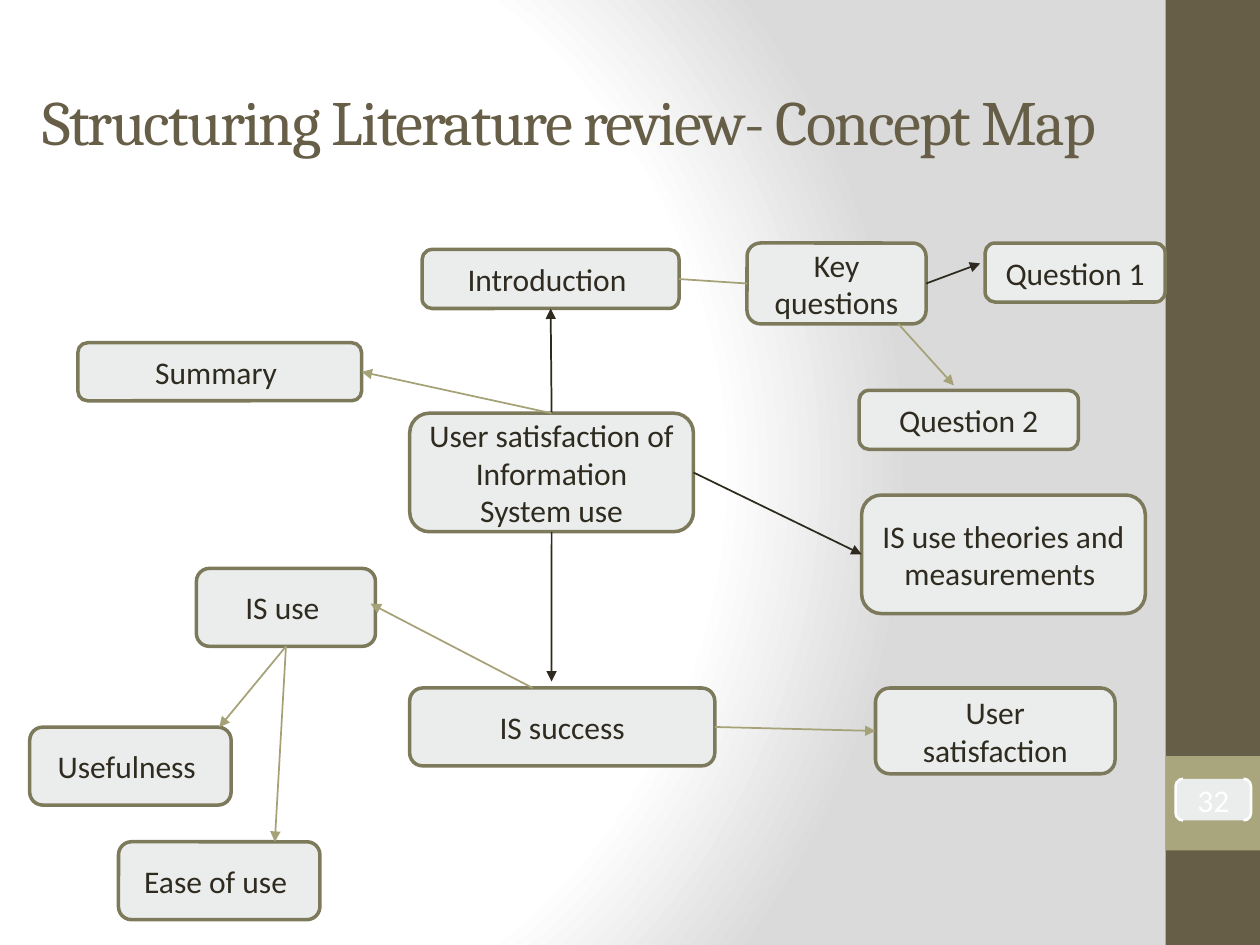
from dataclasses import dataclass
from lxml.etree import SubElement
from pptx import Presentation
from pptx.dml.color import RGBColor
from pptx.enum.shapes import MSO_CONNECTOR, MSO_SHAPE
from pptx.enum.text import MSO_ANCHOR, MSO_AUTO_SIZE, PP_ALIGN
from pptx.oxml.ns import qn
from pptx.util import Cm, Pt


@dataclass(frozen=True)
class Theme:
    heading: str = "Cambria"
    body: str = "Calibri"
    title_size: int = 36
    text_size: int = 18
    brown: str = "675E47"
    olive: str = "A9A57C"
    node_fill: str = "EAEDEB"
    node_line: str = "7D7A5C"
    ink: str = "2F2B20"
    dark: str = "2E2A1F"
    light: str = "A6A278"
    white: str = "FFFFFF"
    grey: str = "DADADA"


T = Theme()
TOP, LEFT, BOTTOM, RIGHT = range(4)

# Node: label, left, top, width, height in cm from the map's corner
NODES = {
    "topic": ("User satisfaction of Information System use", 7.66, 3.43, 5.72, 2.39),
    "summary": ("Summary ", 0.97, 2.01, 5.72, 1.17),
    "intro": ("Introduction ", 7.91, 0.13, 5.18, 1.19),
    "success": ("IS success", 7.66, 8.97, 6.15, 1.57),
    "theories": ("IS use theories and measurements ", 16.77, 5.08, 5.72, 2.39),
    "key": ("Key questions", 14.46, 0, 3.61, 1.63),
    "q1": ("Question 1", 19.26, 0, 3.63, 1.19),
    "q2": ("Question 2", 16.72, 2.97, 4.42, 1.19),
    "use": ("IS use ", 3.36, 6.56, 3.61, 1.57),
    "satisfaction": ("User satisfaction", 17.05, 8.97, 4.83, 1.73),
    "usefulness": ("Usefulness ", 0, 9.76, 4.06, 1.57),
    "ease": ("Ease of use ", 1.79, 12.07, 4.06, 1.57),
}

# Link: start, end, colour, arrowhead; an end is (node, side) or a free (x, y)
LINKS = [
    (("topic", TOP), ("intro", BOTTOM), T.dark, True),
    (("topic", TOP), ("summary", RIGHT), T.light, True),
    (("intro", RIGHT), ("key", LEFT), T.light, False),
    (("key", RIGHT), (19.16, 0.41), T.dark, True),
    ((17.51, 1.63), (18.63, 2.87), T.light, True),
    (("topic", BOTTOM), (10.52, 8.84), T.dark, True),
    (("topic", RIGHT), ("theories", LEFT), T.dark, True),
    ((10.14, 8.97), (6.87, 7.27), T.light, True),
    (("success", RIGHT), ("satisfaction", LEFT), T.light, True),
    (("use", BOTTOM), (3.82, 9.76), T.light, True),
    (("use", BOTTOM), (4.94, 12.07), T.light, True),
]


def rgb(value):
    return RGBColor.from_string(value)


def add_box(s, kind, box, fill, line=None, width=0):
    sp = s.shapes.add_shape(kind, *map(Cm, box))
    sp.shadow.inherit = False
    sp.fill.solid()
    sp.fill.fore_color.rgb = rgb(fill)
    if line:
        sp.line.color.rgb = rgb(line)
        sp.line.width = Pt(width)
    else:
        sp.line.fill.background()
    return sp


def write(sp, text, font, size, color, align=PP_ALIGN.CENTER):
    tf = sp.text_frame
    frame = {"word_wrap": True, "auto_size": MSO_AUTO_SIZE.NONE,
             "vertical_anchor": MSO_ANCHOR.MIDDLE}
    for name, value in frame.items():
        setattr(tf, name, value)
    p = tf.paragraphs[0]
    p.alignment = align
    r = p.add_run()
    r.text = text
    for name, value in {"name": font, "size": Pt(size)}.items():
        setattr(r.font, name, value)
    r.font.color.rgb = rgb(color)
    return r


def add_background(s):
    """Radial gradient, white on the left and grey on the right."""
    s.background.fill.solid()
    bg = s._element.find(".//" + qn("p:bgPr"))
    bg.remove(bg[0])
    grad = SubElement(bg, qn("a:gradFill"), rotWithShape="1")
    bg.insert(0, grad)
    stops = SubElement(grad, qn("a:gsLst"))
    for pos, color in ((0, T.white), (75, T.white), (100, T.grey)):
        stop = SubElement(stops, qn("a:gs"), pos=str(pos * 1000))
        SubElement(stop, qn("a:srgbClr"), val=color)
    circle = SubElement(grad, qn("a:path"), path="circle")
    SubElement(circle, qn("a:fillToRect"), l="20000", t="50000", r="100000", b="50000")


def add_sidebar(s, box):
    x, y, w, h = box
    add_box(s, MSO_SHAPE.RECTANGLE, box, T.brown)
    add_box(s, MSO_SHAPE.RECTANGLE, (x, y + 0.8 * h, w, 0.1 * h), T.olive)
    # Page number
    sp = add_box(s, MSO_SHAPE.DOUBLE_BRACKET, (x + 0.2, y + 15.7, 1.52, 0.84),
                 T.node_fill, T.white, 1.5)
    sp.adjustments[0] = 0.18
    for side in ("left", "top", "right", "bottom"):
        setattr(sp.text_frame, "margin_" + side, 0)
    write(sp, "32", T.body, T.text_size, T.white)


def add_title(s, box):
    sp = s.shapes.title
    for name, value in zip(("left", "top", "width", "height"), box):
        setattr(sp, name, Cm(value))
    r = write(sp, "Structuring Literature review- Concept Map",
              T.heading, T.title_size, T.brown, PP_ALIGN.LEFT)
    r.font._element.set("spc", "-100")


def add_link(s, origin, shapes, start, end, color, arrow):
    def free(point):
        return [Cm(o + v) for o, v in zip(origin, point)]

    ends = [(0, 0) if e[0] in shapes else free(e) for e in (start, end)]
    line = s.shapes.add_connector(MSO_CONNECTOR.STRAIGHT, *ends[0], *ends[1])
    for e, connect in ((start, line.begin_connect), (end, line.end_connect)):
        if e[0] in shapes:
            connect(shapes[e[0]], e[1])
    line.line.color.rgb = rgb(color)
    line.line.width = Pt(1)
    if arrow:
        SubElement(line.line._get_or_add_ln(), qn("a:tailEnd"), type="triangle")
    SubElement(line._element.spPr, qn("a:effectLst"))


def add_concept_map(s, origin):
    x, y = origin
    shapes = {}
    for key, (label, left, top, w, h) in NODES.items():
        sp = add_box(s, MSO_SHAPE.ROUNDED_RECTANGLE, (x + left, y + top, w, h),
                     T.node_fill, T.node_line, 2)
        write(sp, label, T.body, T.text_size, T.ink)
        shapes[key] = sp
    for link in LINKS:
        add_link(s, origin, shapes, *link)


def main():
    prs = Presentation()
    prs.slide_width, prs.slide_height = Cm(25.4), Cm(19.05)
    s = prs.slides.add_slide(prs.slide_layouts[5])
    add_background(s)
    add_sidebar(s, (23.5, 0, 1.9, 19.05))
    add_title(s, (0.6, 0.84, 22.9, 3.18))
    add_concept_map(s, (0.6, 4.9))
    prs.save("out.pptx")


if __name__ == "__main__":
    main()
